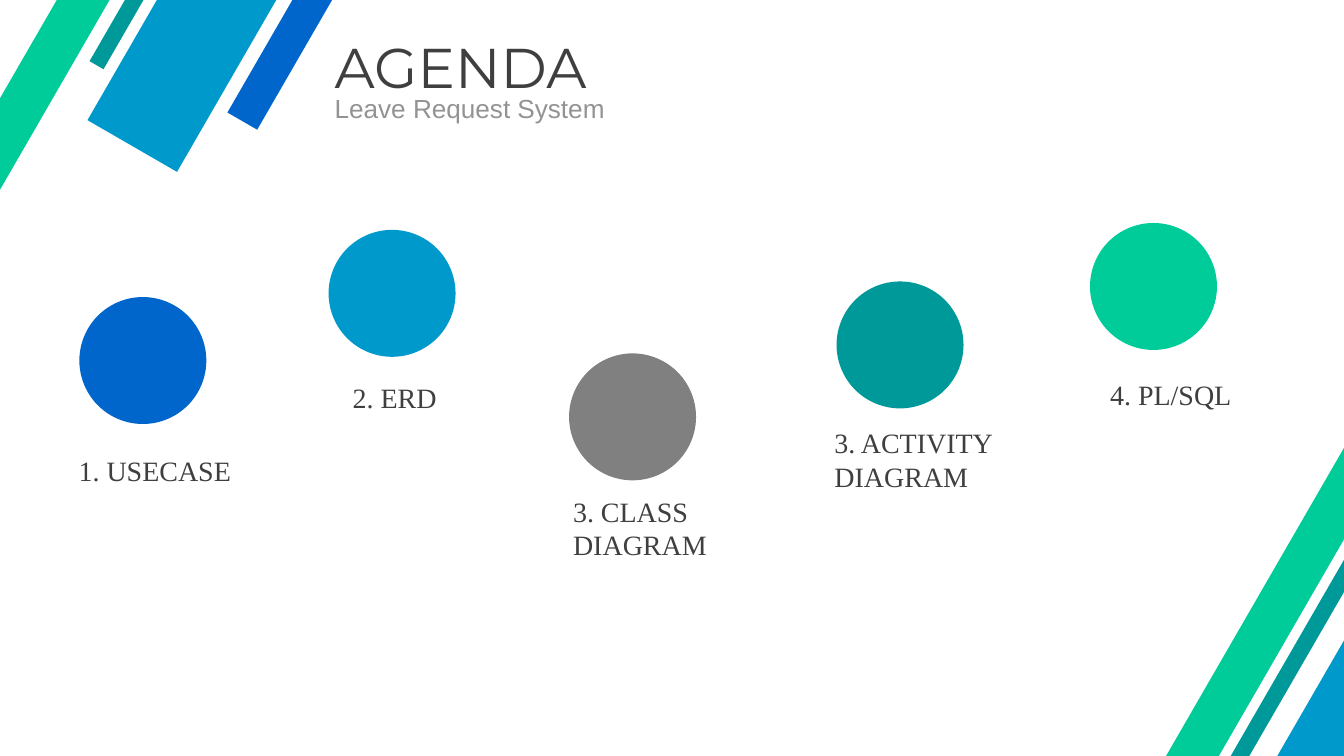
from dataclasses import dataclass

from pptx import Presentation
from pptx import util as u
from pptx.dml.color import RGBColor
from pptx.enum import shapes, text


@dataclass(frozen=True)
class Theme:
    navy: str = "0066CC"
    sky: str = "0099CC"
    teal: str = "009999"
    mint: str = "00CC99"
    grey: str = "808080"
    ink: str = "3F3F3F"
    muted: str = "939393"
    title_font: str = "Montserrat"
    subtitle_font: str = "Arial"
    label_font: str = "Times New Roman"
    title_size: int = 60
    subtitle_size: int = 28
    label_size: int = 30


THEME = Theme()
BAND_ANGLE = 300
CIRCLE = 4.8
LABEL_WIDTH = 9.78
LABEL_HEIGHTS = {1: 1.55, 2: 2.82}

# Band kinds: length and thickness in cm, colour
NAVY_BAND = (51.08, 1.3, THEME.navy)
SKY_BAND = (51, 3.91, THEME.sky)
TEAL_BAND = (51.08, 0.61, THEME.teal)
MINT_BAND = (50.95, 1.73, THEME.mint)

# Bands: left and top in cm before rotation, kind
BANDS = [
    # Top left corner
    (-3.61, -18.19, NAVY_BAND),
    (-7.75, -18.52, SKY_BAND),
    (-9.12, -19.96, TEAL_BAND),
    (-14.81, -13.89, MINT_BAND),
    # Bottom right corner
    (34.75, 9.8, SKY_BAND),
    (32.77, 8.46, TEAL_BAND),
    (27.2, 14.55, MINT_BAND),
]

# Topics: circle corner, colour, label corner, label paragraphs, label lines
TOPICS = [
    ((3, 11.23), THEME.navy, (2.72, 16.99), ["1. USECASE"], 1),
    ((12.42, 8.69), THEME.sky, (13.08, 14.22), ["2. ERD"], 1),
    ((21.51, 13.36), THEME.grey, (21.41, 18.54), ["3. CLASS DIAGRAM"], 2),
    ((31.62, 10.64), THEME.teal, (31.29, 15.95), ["3. ACTIVITY", "DIAGRAM"], 2),
    ((41.2, 8.43), THEME.mint, (41.71, 14.12), ["4. PL/SQL"], 1),
]


def add_solid(slide, preset, left, top, width, height, colour, angle=0):
    solid = slide.shapes.add_shape(
        preset, u.Cm(left), u.Cm(top), u.Cm(width), u.Cm(height))
    solid.rotation = angle
    solid.shadow.inherit = False
    solid.fill.solid()
    solid.fill.fore_color.rgb = RGBColor.from_string(colour)
    solid.line.fill.background()


def add_text(slide, left, top, width, height, paragraphs, font, size, colour,
             anchor, insets=(0.25, 0.13), line_spacing=None):
    box = slide.shapes.add_textbox(
        u.Cm(left), u.Cm(top), u.Cm(width), u.Cm(height))
    frame = box.text_frame
    frame.word_wrap = True
    frame.vertical_anchor = anchor
    frame.margin_left = frame.margin_right = u.Cm(insets[0])
    frame.margin_top = frame.margin_bottom = u.Cm(insets[1])
    for index, words in enumerate(paragraphs):
        paragraph = frame.add_paragraph() if index else frame.paragraphs[0]
        if line_spacing:
            paragraph.line_spacing = u.Pt(line_spacing)
        run = paragraph.add_run()
        run.text = words
        run.font.name = font
        run.font.size = u.Pt(size)
        run.font.color.rgb = RGBColor.from_string(colour)


def add_heading(slide):
    insets = (0.46, 0.23)
    add_text(slide, 12.19, 1.14, 38, 2.74, ["AGENDA"], THEME.title_font,
             THEME.title_size, THEME.ink, text.MSO_ANCHOR.MIDDLE, insets)
    add_text(slide, 12.19, 3.4, 38, 1.47, ["Leave Request System"],
             THEME.subtitle_font, THEME.subtitle_size, THEME.muted,
             text.MSO_ANCHOR.TOP, insets, line_spacing=30)


def add_topic(slide, circle_at, colour, label_at, paragraphs, lines):
    add_solid(slide, shapes.MSO_SHAPE.OVAL, *circle_at, CIRCLE, CIRCLE, colour)
    add_text(slide, *label_at, LABEL_WIDTH, LABEL_HEIGHTS[lines], paragraphs,
             THEME.label_font, THEME.label_size, THEME.ink,
             text.MSO_ANCHOR.BOTTOM)


def main():
    deck = Presentation()
    deck.slide_width, deck.slide_height = u.Cm(50.8), u.Cm(28.58)
    agenda = deck.slides.add_slide(deck.slide_layouts[6])

    # Slanted corner bands
    for left, top, (length, thickness, colour) in BANDS:
        add_solid(agenda, shapes.MSO_SHAPE.RECTANGLE, left, top, length,
                  thickness, colour, BAND_ANGLE)

    # Title and subtitle
    add_heading(agenda)

    # Agenda topics
    for topic in TOPICS:
        add_topic(agenda, *topic)

    deck.save("out.pptx")


if __name__ == "__main__":
    main()
